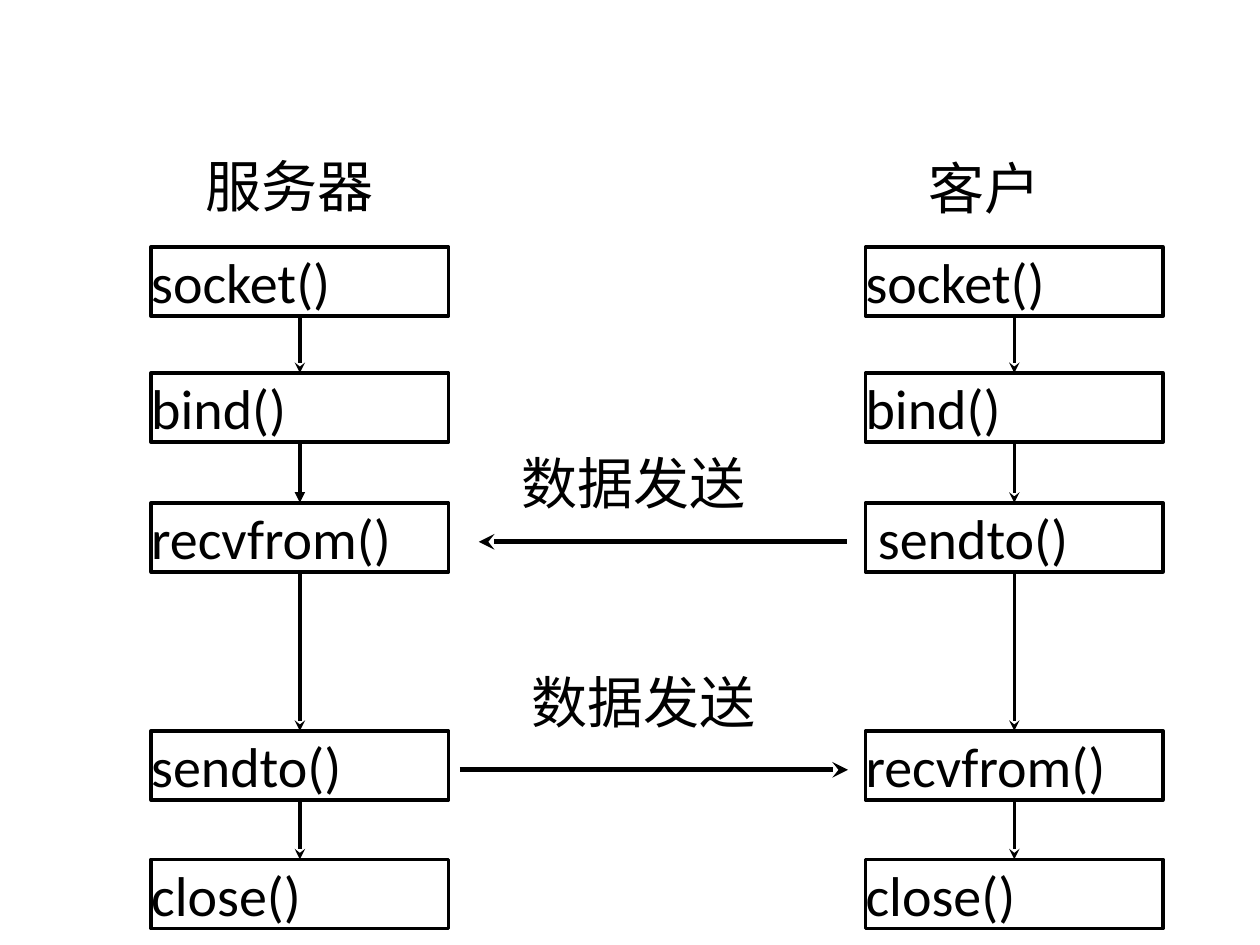
from dataclasses import dataclass
from itertools import pairwise

from lxml import etree
from pptx import Presentation
from pptx.dml.color import RGBColor
from pptx.enum import shapes, text
from pptx.oxml import ns
from pptx.util import Inches, Pt

COLORS = {"ink": "000000", "paper": "FFFFFF"}
INK = RGBColor.from_string(COLORS["ink"])
BOX_W, BOX_H = 2.36, 0.55
TOPS = (1.96, 2.96, 3.99, 5.8, 6.82)


@dataclass
class Step:
    name: str
    inset: float = 0
    head: str = "stealth"  # arrowhead on the way to the next step


@dataclass
class Lane:
    left: float
    steps: list[Step]


@dataclass
class Label:
    words: str
    left: float
    top: float
    width: float


@dataclass
class Message:
    start: float
    end: float
    y: float


LANES = [
    Lane(1.2, [Step("socket()"), Step("bind()", head="triangle"),
               Step("recvfrom()"), Step("sendto()"), Step("close()")]),
    Lane(6.87, [Step("socket()"), Step("bind()"), Step("sendto()", inset=0.1),
                Step("recvfrom()"), Step("close()")]),
]
LABELS = [
    Label("服务器", 1.53, 1.15, 1.97),
    Label("客户", 7.27, 1.17, 1.58),
    Label("数据发送", 4.04, 3.51, 2.29),
    Label("数据发送", 4.12, 5.25, 2.28),
]
MESSAGES = [Message(6.72, 3.8, 4.3), Message(3.65, 6.73, 6.11)]


def write(frame, words: str) -> None:
    frame.word_wrap = True
    para = frame.paragraphs[0]
    para.text = words
    para.alignment = text.PP_ALIGN.LEFT
    para.font.name = "Calibri"
    para.font.size = Pt(32)
    para.font.color.rgb = INK


def draw_step(slide, step: Step, left: float, top: float):
    box = slide.shapes.add_shape(
        shapes.MSO_SHAPE.RECTANGLE, Inches(left), Inches(top), Inches(BOX_W), Inches(BOX_H))
    box.shadow.inherit = False
    box.fill.background()
    box.line.color.rgb = INK
    box.line.width = Pt(2)
    frame = box.text_frame
    frame.margin_left = Inches(step.inset)
    frame.margin_right = frame.margin_top = frame.margin_bottom = 0
    frame.vertical_anchor = text.MSO_ANCHOR.MIDDLE
    write(frame, step.name)
    return box


def draw_arrow(slide, start: tuple, end: tuple, width: float, head: str = "stealth"):
    """Draw a straight arrow between two points given in inches."""
    ends = [Inches(v) for v in (*start, *end)]
    arrow = slide.shapes.add_connector(shapes.MSO_CONNECTOR.STRAIGHT, *ends)
    arrow.line.color.rgb = INK
    arrow.line.width = Pt(width)
    etree.SubElement(arrow.line._get_or_add_ln(), ns.qn("a:tailEnd"), type=head)
    etree.SubElement(arrow._element.spPr, ns.qn("a:effectLst"))
    return arrow


def draw_lane(slide, lane: Lane) -> None:
    boxes = [draw_step(slide, step, lane.left, top) for step, top in zip(lane.steps, TOPS)]
    mid = lane.left + BOX_W / 2
    for step, (upper, lower), (top, below) in zip(lane.steps, pairwise(boxes), pairwise(TOPS)):
        arrow = draw_arrow(slide, (mid, top + BOX_H), (mid, below), 2, step.head)
        arrow.begin_connect(upper, 2)
        arrow.end_connect(lower, 0)


def draw_label(slide, label: Label) -> None:
    box = slide.shapes.add_textbox(
        Inches(label.left), Inches(label.top), Inches(label.width), Inches(0.64))
    write(box.text_frame, label.words)


def main() -> None:
    deck = Presentation()
    deck.slide_width, deck.slide_height = Inches(10), Inches(7.5)
    slide = deck.slides.add_slide(deck.slide_layouts[6])
    fill = slide.background.fill
    fill.solid()
    fill.fore_color.rgb = RGBColor.from_string(COLORS["paper"])
    for lane in LANES:
        draw_lane(slide, lane)
    for label in LABELS:
        draw_label(slide, label)
    for msg in MESSAGES:
        draw_arrow(slide, (msg.start, msg.y), (msg.end, msg.y), 3)
    deck.save("out.pptx")


if __name__ == "__main__":
    main()
